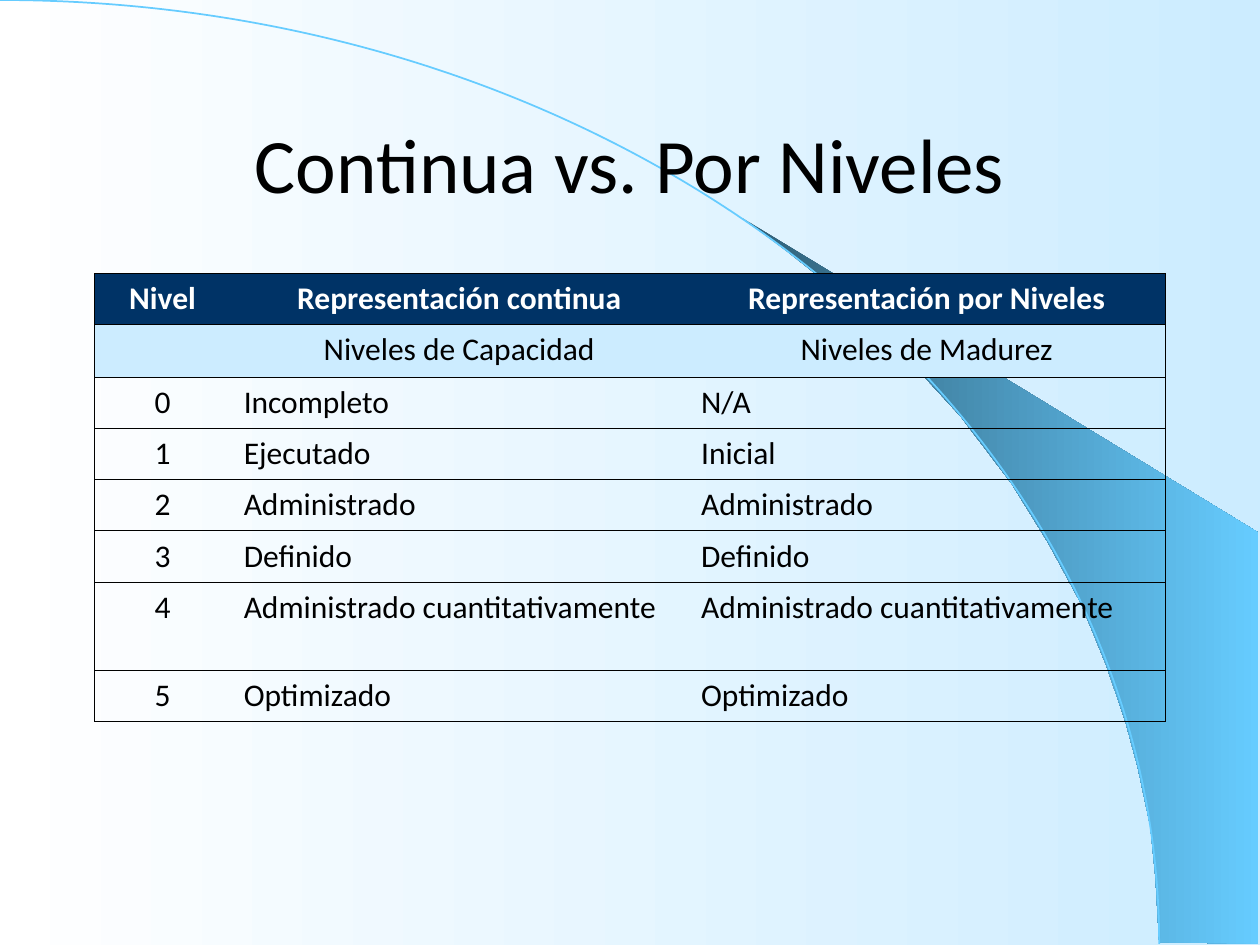
from dataclasses import dataclass

import lxml.etree
import pptx
import pptx.dml.color
import pptx.enum.text
import pptx.oxml.ns
import pptx.util

RGB = pptx.dml.color.RGBColor
WHITE = RGB(0xFF, 0xFF, 0xFF)
BLACK = RGB(0, 0, 0)
NAVY = RGB(0x00, 0x33, 0x66)
PALE_BLUE = RGB(0xCC, 0xEC, 0xFF)
SKY = RGB(0x66, 0xCC, 0xFF)
DEEP_TEAL = RGB(0x2F, 0x5E, 0x76)

FONT = "Calibri"
CENTER = pptx.enum.text.PP_ALIGN.CENTER
LEFT = pptx.enum.text.PP_ALIGN.LEFT
qn = pptx.oxml.ns.qn

# The slide is a grid of 1000 columns by 750 rows
UNIT = pptx.util.Inches(0.01)
COLUMNS, ROWS = 1000, 750
Point = tuple[float, float]

# Arc: start, two control points, end
ARC = ((0, 0), (508, 0), (920, 335), (920, 749))
WEDGE = (
    (920, 748), (999, 749), (999, 423), (589, 173), (624, 199), (653, 222),
    (685, 250), (716, 280), (762, 330), (803, 384), (832, 431), (858, 479),
    (878, 528), (893, 572), (903, 609), (913, 656), (917, 696),
)

COLUMN_WIDTHS = (108, 363, 379)


@dataclass
class Level:
    texts: tuple[str, str, str]
    height: float = 40.4
    fill: RGB | None = None
    color: RGB = BLACK
    heading: bool = False
    bold: bool = False


LEVELS = (
    Level(("Nivel", "Representación continua", "Representación por Niveles"),
          fill=NAVY, color=WHITE, heading=True, bold=True),
    Level(("", "Niveles de Capacidad", "Niveles de Madurez"),
          height=42, fill=PALE_BLUE, heading=True),
    Level(("0", "Incompleto", "N/A")),
    Level(("1", "Ejecutado", "Inicial")),
    Level(("2", "Administrado", "Administrado")),
    Level(("3", "Definido", "Definido")),
    Level(("4", "Administrado cuantitativamente", "Administrado cuantitativamente"),
          height=70.5),
    Level(("5", "Optimizado", "Optimizado")),
)


def grid(count: float) -> pptx.util.Emu:
    return pptx.util.Emu(round(count * UNIT))


def apply_gradient(fill, start: RGB, end: RGB) -> None:
    fill.gradient()
    fill.gradient_angle = 0
    for stop, color, position in zip(fill.gradient_stops, (start, end), (0, 1)):
        stop.color.rgb = color
        stop.position = position


def draw_outline(slide, points: tuple[Point, ...], close: bool):
    corners = [(grid(x), grid(y)) for x, y in points]
    builder = slide.shapes.build_freeform(*corners[0])
    builder.add_line_segments(corners[1:], close=close)
    shape = builder.convert_to_shape()
    shape.shadow.inherit = False
    return shape


def draw_curve(slide, curve: tuple[Point, ...]):
    """Draw a cubic curve that starts at its top left corner."""
    shape = draw_outline(slide, (curve[0], curve[-1]), False)
    segment = next(shape._element.iter(qn("a:lnTo")))
    bend = lxml.etree.Element(qn("a:cubicBezTo"))
    for x, y in curve[1:]:
        lxml.etree.SubElement(bend, qn("a:pt"), x=str(grid(x)), y=str(grid(y)))
    segment.getparent().replace(segment, bend)
    return shape


def style_paragraph(paragraph, size: float, color: RGB, align, bold: bool = False) -> None:
    paragraph.alignment = align
    paragraph.font.name = FONT
    paragraph.font.size = pptx.util.Pt(size)
    paragraph.font.bold = bold
    paragraph.font.color.rgb = color


def set_borders(cell, first: bool, last: bool) -> None:
    """Rule above and below; sides only at the table's edges."""
    properties = cell._tc.get_or_add_tcPr()
    sides = (("a:lnL", first), ("a:lnR", last), ("a:lnT", True), ("a:lnB", True))
    for index, (side, visible) in enumerate(sides):
        line = lxml.etree.Element(qn(side), w=str(pptx.util.Pt(0.34)))
        if visible:
            solid = lxml.etree.SubElement(line, qn("a:solidFill"))
            lxml.etree.SubElement(solid, qn("a:srgbClr"), val=str(BLACK))
        else:
            lxml.etree.SubElement(line, qn("a:noFill"))
        properties.insert(index, line)


def draw_backdrop(slide) -> None:
    apply_gradient(slide.background.fill, WHITE, PALE_BLUE)
    wedge = draw_outline(slide, WEDGE, True)
    apply_gradient(wedge.fill, DEEP_TEAL, SKY)
    wedge.line.fill.background()
    arc = draw_curve(slide, ARC)
    arc.fill.background()
    arc.line.color.rgb = SKY
    arc.line.width = pptx.util.Pt(1)


def draw_title(slide, text: str) -> None:
    title = slide.shapes.title
    title.left, title.top, title.width, title.height = map(grid, (75, 67, 850, 125))
    title.text_frame.text = text
    title.text_frame.vertical_anchor = pptx.enum.text.MSO_ANCHOR.MIDDLE
    style_paragraph(title.text_frame.paragraphs[0], 44, BLACK, CENTER)
    # Bring the title in front of the backdrop
    slide.shapes._spTree.append(title._element)


def draw_levels(slide) -> None:
    height = sum(level.height for level in LEVELS)
    table = slide.shapes.add_table(
        len(LEVELS), len(COLUMN_WIDTHS),
        grid(75), grid(217), grid(sum(COLUMN_WIDTHS)), grid(height)).table
    table.first_row = table.horz_banding = False
    for column, width in zip(table.columns, COLUMN_WIDTHS):
        column.width = grid(width)
    for row, level in zip(table.rows, LEVELS):
        row.height = grid(level.height)
        for index, (cell, text) in enumerate(zip(row.cells, level.texts)):
            cell.text = text
            cell.margin_left = cell.margin_right = grid(10.5)
            align = CENTER if level.heading or index == 0 else LEFT
            style_paragraph(cell.text_frame.paragraphs[0], 18, level.color,
                            align, level.bold)
            if level.fill is None:
                cell.fill.background()
            else:
                cell.fill.solid()
                cell.fill.fore_color.rgb = level.fill
            set_borders(cell, index == 0, index == len(COLUMN_WIDTHS) - 1)


def main() -> None:
    presentation = pptx.Presentation()
    presentation.slide_width, presentation.slide_height = grid(COLUMNS), grid(ROWS)
    slide = presentation.slides.add_slide(presentation.slide_layouts[5])
    draw_backdrop(slide)
    draw_title(slide, "Continua vs. Por Niveles")
    draw_levels(slide)
    presentation.save("out.pptx")


if __name__ == "__main__":
    main()
